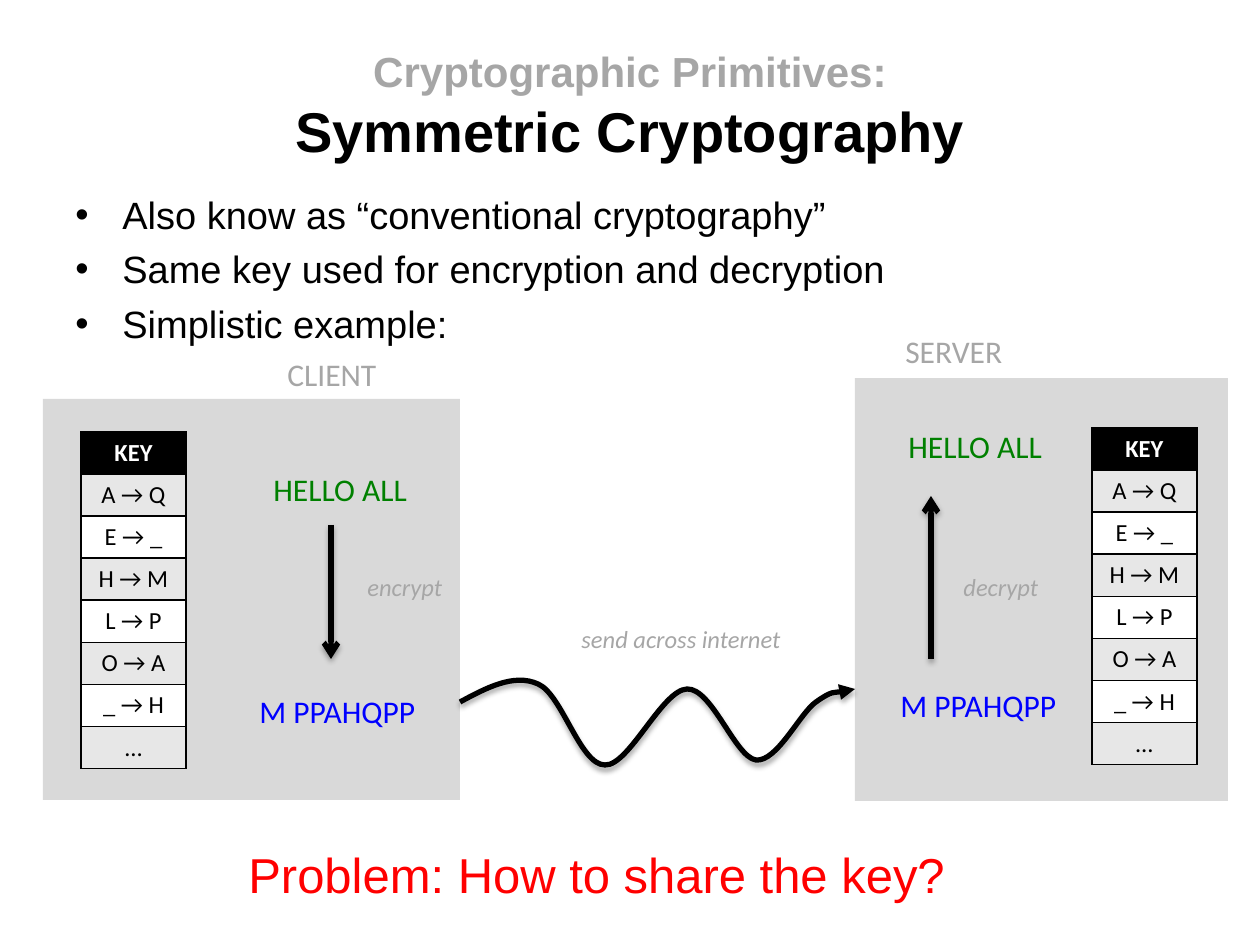
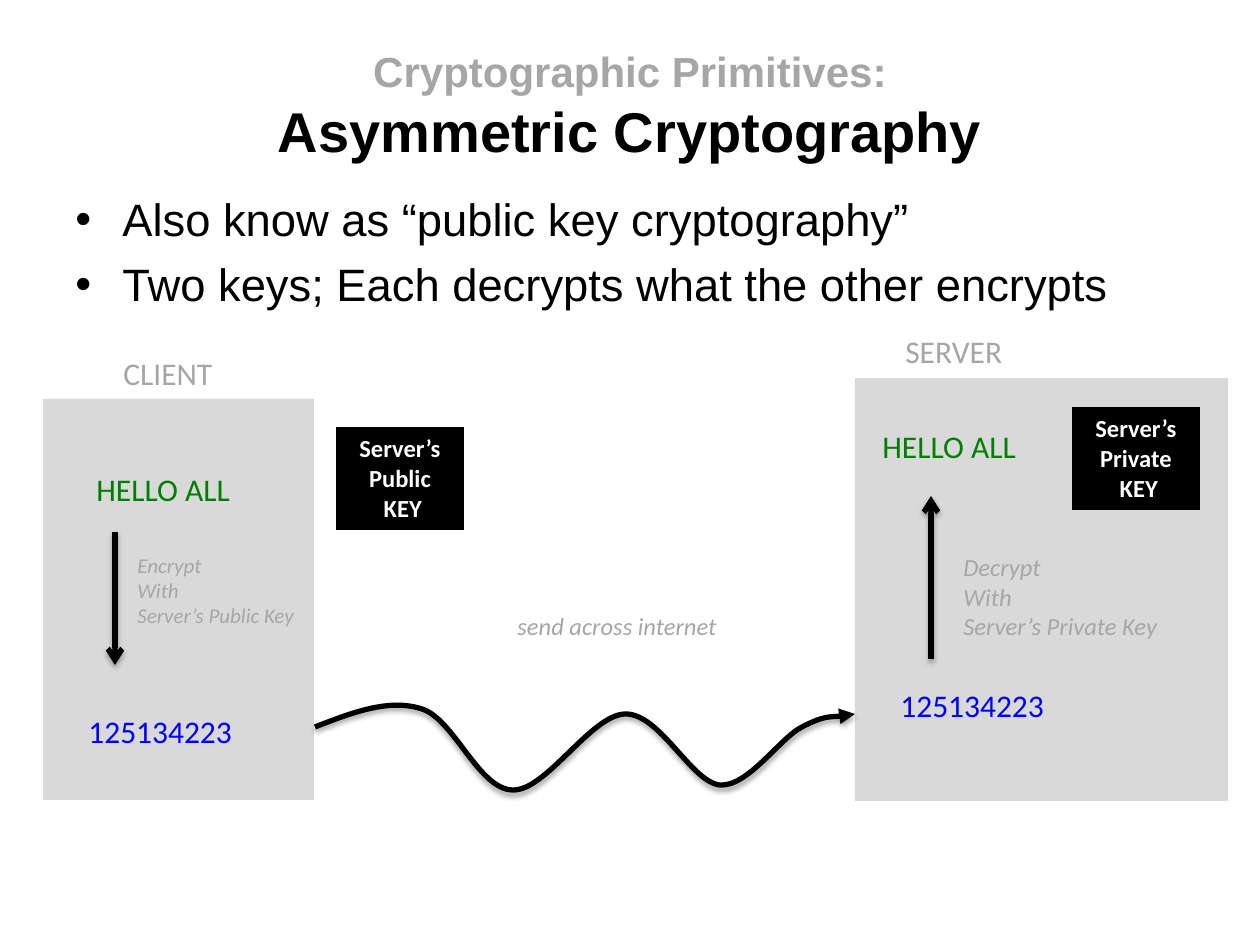
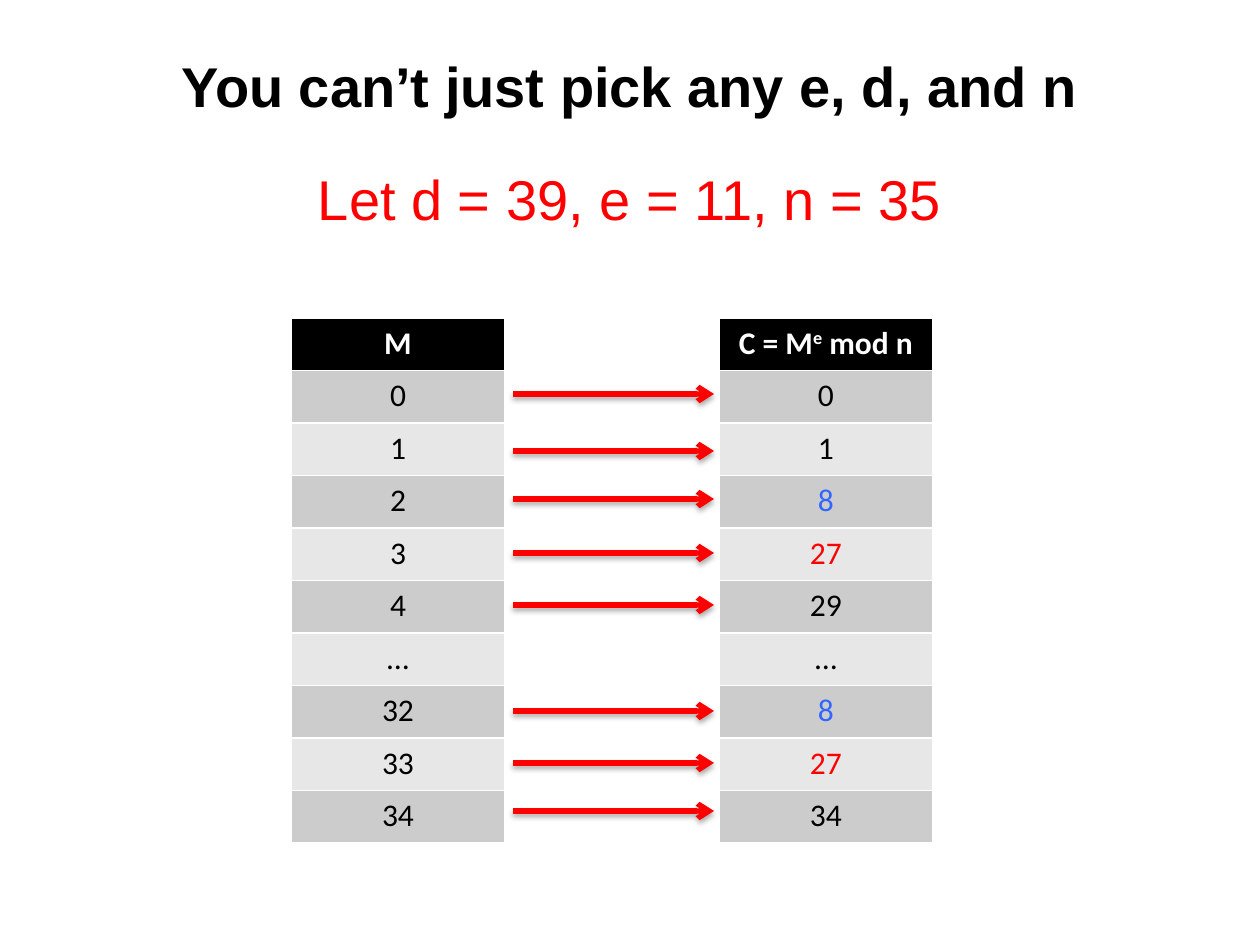
from lxml import etree
from pptx import Presentation
from pptx.dml.color import RGBColor
from pptx.enum.shapes import MSO_CONNECTOR, MSO_SHAPE
from pptx.enum.text import MSO_ANCHOR, MSO_AUTO_SIZE, PP_ALIGN
from pptx.oxml import parse_xml
from pptx.oxml.ns import nsdecls, qn
from pptx.util import Pt

PX = 7257  # EMU in one px, 126 px to the inch
BLACK = RGBColor(0x00, 0x00, 0x00)
WHITE = RGBColor(0xFF, 0xFF, 0xFF)
GREY = RGBColor(0xA6, 0xA6, 0xA6)
PANEL = RGBColor(0xD9, 0xD9, 0xD9)
DARK = RGBColor(0xCC, 0xCC, 0xCC)
LIGHT = RGBColor(0xE7, 0xE7, 0xE7)
RED = RGBColor(0xFF, 0x00, 0x00)
GREEN = RGBColor(0x00, 0x80, 0x00)
BLUE = RGBColor(0x00, 0x00, 0xFF)
SKY = RGBColor(0x33, 0x66, 0xFF)
LEFT, CENTER = PP_ALIGN.LEFT, PP_ALIGN.CENTER
MIDDLE = MSO_ANCHOR.MIDDLE
FIXED, GROW = MSO_AUTO_SIZE.NONE, MSO_AUTO_SIZE.SHAPE_TO_FIT_TEXT
RECT, STRAIGHT = MSO_SHAPE.RECTANGLE, MSO_CONNECTOR.STRAIGHT
SANS, BODY = "Arial", "Calibri"


def style(frame, size, color, font=BODY, bold=False, italic=False, align=LEFT):
    for para in frame.paragraphs:
        para.alignment = align
        for run in para.runs:
            run.font.size = Pt(size)
            run.font.name = font
            run.font.bold = bold
            run.font.italic = italic
            run.font.color.rgb = color


def ink(shape, color, head):
    """Draw a line 3 pt wide with an arrowhead and a soft shadow."""
    shape.line.color.rgb = color
    shape.line.width = Pt(3)
    etree.SubElement(shape.line._get_or_add_ln(), qn("a:tailEnd"), type=head)
    shape._element.spPr.append(parse_xml(
        f'<a:effectLst {nsdecls("a")}><a:outerShdw blurRad="40000" dist="23000" '
        'dir="5400000" rotWithShape="0"><a:srgbClr val="000000">'
        '<a:alpha val="35000"/></a:srgbClr></a:outerShdw></a:effectLst>'))


deck = Presentation()
deck.slide_width, deck.slide_height = 1260 * PX, 945 * PX
one, two, three = [deck.slides.add_slide(deck.slide_layouts[5]) for _ in range(3)]

# Titles
OVER = "Cryptographic Primitives:\v"
for page, text, top, high in [
    (one, OVER + "Symmetric Cryptography", 25, 159),
    (two, OVER + "Asymmetric Cryptography", 25, 159),
    (three, "You can’t just pick any e, d, and n", 38, 94),
]:
    title = page.shapes.title
    title.left, title.top = 63 * PX, top * PX
    title.width, title.height = 1134 * PX, high * PX
    frame = title.text_frame
    frame.text = text
    frame.auto_size, frame.vertical_anchor = FIXED, MIDDLE
    style(frame, 32, BLACK, SANS, bold=True, align=CENTER)
    if text.startswith(OVER):
        first = frame.paragraphs[0].runs[0].font
        first.size, first.color.rgb = Pt(24), GREY

# Client and server panels
for page, left, top, wide, high in [
    (one, 43, 399, 417, 401), (one, 855, 378, 373, 423),
    (two, 43, 399, 271, 401), (two, 855, 378, 373, 423),
]:
    panel = page.shapes.add_shape(RECT, left * PX, top * PX, wide * PX, high * PX)
    panel.shadow.inherit = False
    panel.fill.solid()
    panel.fill.fore_color.rgb = PANEL
    panel.line.fill.background()

# Bullet lists
for page, size, text in [
    (one, 21.7, "Also know as “conventional cryptography”\n"
     "Same key used for encryption and decryption\nSimplistic example:"),
    (two, 25.9, "Also know as “public key cryptography”\n"
     "Two keys; Each decrypts what the other encrypts"),
]:
    frame = page.shapes.add_textbox(63 * PX, 185 * PX, 1134 * PX, 193 * PX).text_frame
    frame.word_wrap = True
    frame.text = text
    style(frame, size, BLACK, SANS)
    for para in frame.paragraphs:
        para.space_before = Pt(round(size * 0.24, 1))
        props = para._p.get_or_add_pPr()
        props.set("marL", str(47 * PX))
        props.set("indent", str(-47 * PX))
        etree.SubElement(props, qn("a:buFont"), typeface=SANS)
        etree.SubElement(props, qn("a:buChar"), char="•")

# Red statements
for page, left, top, wide, size, align, text in [
    (one, 236, 838, 964, 28, LEFT, "Problem: How to share the key?"),
    (three, 63, 158, 1134, 32, CENTER, "Let d = 39, e = 11, n = 35"),
]:
    frame = page.shapes.add_textbox(left * PX, top * PX, wide * PX, 84 * PX).text_frame
    frame.word_wrap = True
    frame.text = text
    style(frame, size, RED, SANS, align=align)

# Labels of the message flow
PLAIN, SENT = "HELLO ALL", "send across internet"
for page, left, top, wide, high, size, color, text in [
    (one, 275, 349, 116, 50, 18, GREY, "CLIENT"),
    (one, 893, 326, 125, 50, 18, GREY, "SERVER"),
    (one, 261, 464, 161, 50, 18, GREEN, PLAIN),
    (one, 896, 421, 161, 50, 18, GREEN, PLAIN),
    (one, 247, 686, 185, 50, 18, BLUE, "M PPAHQPP"),
    (one, 888, 680, 185, 50, 18, BLUE, "M PPAHQPP"),
    (one, 355, 566, 107, 43, 14, GREY, "encrypt"),
    (one, 951, 566, 107, 43, 14, GREY, "decrypt"),
    (one, 569, 618, 234, 43, 14, GREY, SENT),
    (two, 111, 348, 116, 50, 18, GREY, "CLIENT"),
    (two, 893, 326, 125, 50, 18, GREY, "SERVER"),
    (two, 84, 464, 161, 50, 18, GREEN, PLAIN),
    (two, 870, 421, 161, 50, 18, GREEN, PLAIN),
    (two, 76, 706, 170, 50, 18, BLUE, "125134223"),
    (two, 888, 680, 170, 50, 18, BLUE, "125134223"),
    (two, 125, 546, 189, 89, 12, GREY, "Encrypt\nWith\nServer’s Public Key"),
    (two, 951, 546, 228, 102, 14, GREY, "Decrypt\nWith\nServer’s Private Key"),
    (two, 505, 605, 234, 43, 14, GREY, SENT),
]:
    label = page.shapes.add_textbox(left * PX, top * PX, wide * PX, high * PX)
    frame = label.text_frame
    frame.text = text
    frame.word_wrap, frame.auto_size = False, GROW
    style(frame, size, color, italic=size < 18)

# Straight arrows
arrows = [
    (one, 331, 525, 331, 659, BLACK), (one, 931, 659, 931, 496, BLACK),
    (two, 115, 532, 115, 665, BLACK), (two, 931, 659, 931, 496, BLACK),
]
for y in [394, 451, 499, 553, 605, 711, 763, 811]:
    arrows.append((three, 513, y, 714, y, RED))
for page, x1, y1, x2, y2, color in arrows:
    arrow = page.shapes.add_connector(STRAIGHT, x1 * PX, y1 * PX, x2 * PX, y2 * PX)
    ink(arrow, color, "arrow")

# Waves across the internet: a start point, then three points to each curve
WAVE = [
    (460, 702), (486, 688), (514, 673), (538, 684), (562, 694), (580, 765),
    (605, 765), (629, 766), (662, 690), (687, 689), (712, 688), (735, 757),
    (756, 760), (777, 762), (800, 713), (816, 702), (833, 690), (847, 692),
    (855, 689),
]
for page, start, drop in [(one, 460, 0), (two, 315, 25)]:
    ratio = (855 - start) / (855 - 460)
    dots = [(round(855 - (855 - x) * ratio), y + drop) for x, y in WAVE]
    pen = page.shapes.build_freeform(*dots[0], scale=PX)
    pen.add_line_segments(dots[1:], close=False)
    wave = pen.convert_to_shape()
    steps = list(wave._element.iter(qn("a:lnTo")))
    for i in range(0, len(steps), 3):
        curve = etree.Element(qn("a:cubicBezTo"))
        steps[i].addprevious(curve)
        for step in steps[i:i + 3]:
            curve.append(step[0])
            step.getparent().remove(step)
    wave.fill.background()
    ink(wave, BLACK, "triangle")

# Key tables
CODE = ["KEY", "A → Q", "E → _", "H → M", "L → P", "O → A", "_ → H", "…"]
for page, left, top, wide, high, rows in [
    (one, 81, 432, 105, 42, CODE),
    (one, 1092, 428, 105, 42, CODE),
    (two, 337, 428, 126, 101, ["Server’s\nPublic\n KEY"]),
    (two, 1073, 408, 126, 101, ["Server’s\nPrivate\n KEY"]),
]:
    table = page.shapes.add_table(
        len(rows), 1, left * PX, top * PX, wide * PX, high * len(rows) * PX).table
    for i, text in enumerate(rows):
        cell = table.cell(i, 0)
        for side in "LRTB":
            cell._tc.get_or_add_tcPr().append(parse_xml(
                f'<a:ln{side} {nsdecls("a")} w="12700"><a:solidFill>'
                f'<a:srgbClr val="{BLACK}"/></a:solidFill></a:ln{side}>'))
        cell.fill.solid()
        cell.fill.fore_color.rgb = BLACK if i == 0 else LIGHT if i % 2 else WHITE
        cell.text_frame.text = text
        style(cell.text_frame, 14, BLACK if i else WHITE, bold=i == 0, align=CENTER)

# Cipher table, with a clear column for the arrows
PAIRS = [
    ("M", "C = M"), ("0", "0"), ("1", "1"), ("2", "8"), ("3", "27"), ("4", "29"),
    ("…", "…"), ("32", "8"), ("33", "27"), ("34", "34"),
]
TINT = {"8": SKY, "27": RED}
table = three.shapes.add_table(
    len(PAIRS), 3, 291 * PX, 318 * PX, 642 * PX, 525 * PX).table
for i, (plain, code) in enumerate(PAIRS):
    table.cell(i, 1).fill.background()
    for col, text in [(0, plain), (2, code)]:
        cell = table.cell(i, col)
        cell.fill.solid()
        cell.fill.fore_color.rgb = BLACK if i == 0 else DARK if i % 2 else LIGHT
        frame = cell.text_frame
        frame.text = text
        if text == "C = M":
            power, rest = [frame.paragraphs[0].add_run() for _ in range(2)]
            power.text, rest.text = "e", " mod n"
            power._r.get_or_add_rPr().set("baseline", "30000")
        color = TINT.get(text, BLACK) if i else WHITE
        style(frame, 18, color, bold=i == 0, align=CENTER)

deck.save("out.pptx")
